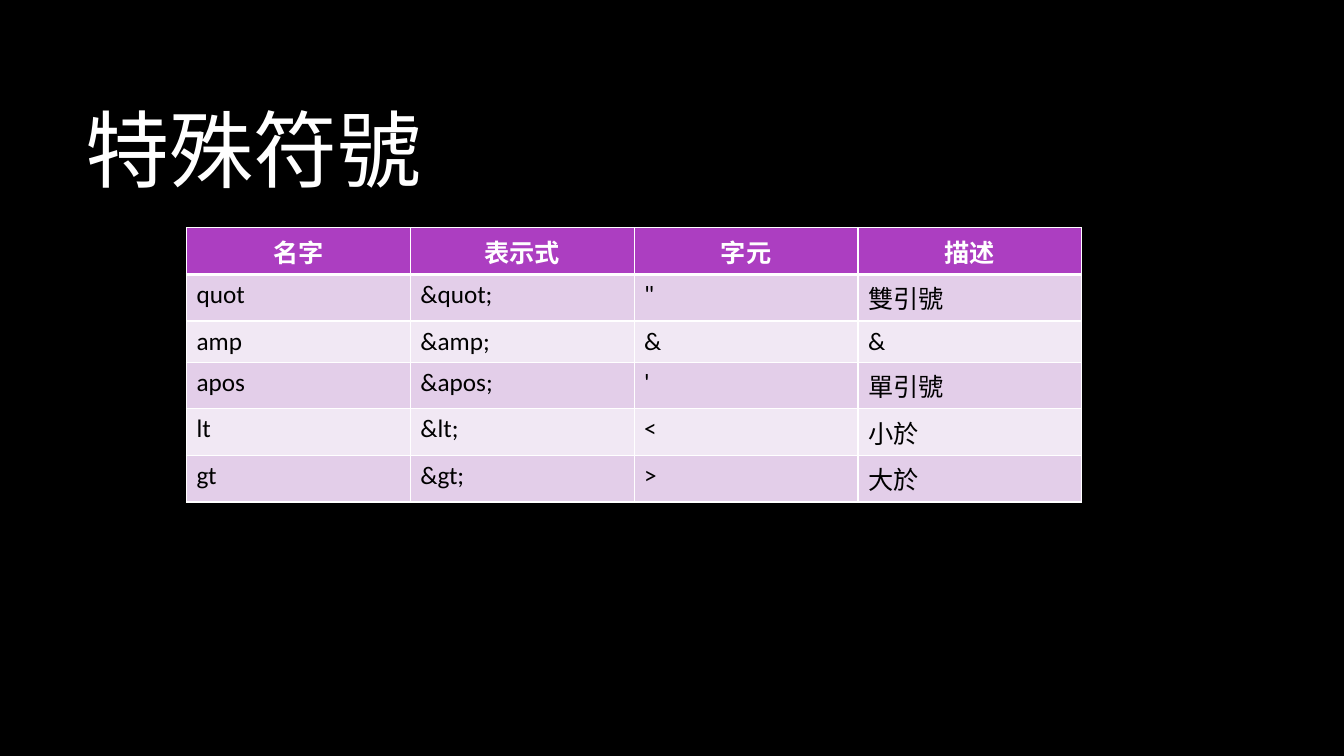
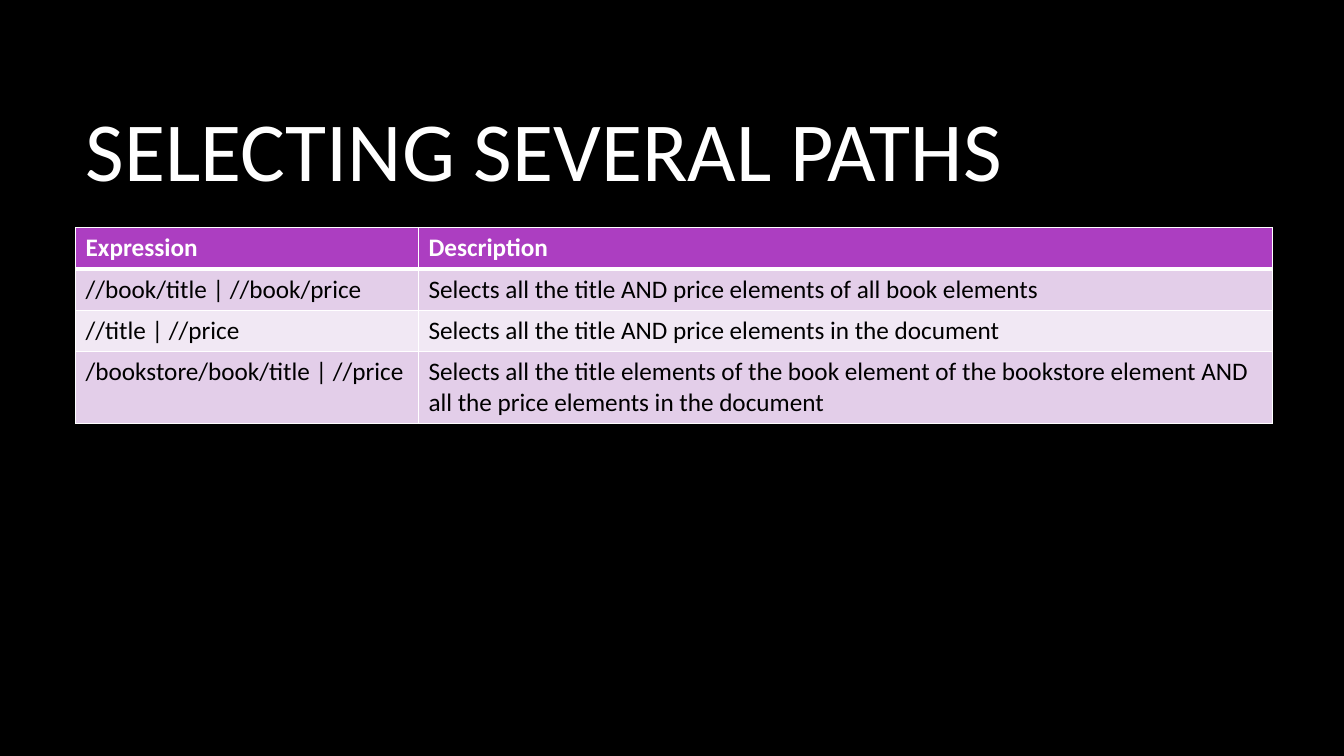
from lxml.etree import SubElement
from pptx import Presentation
from pptx.dml.color import RGBColor
from pptx.enum.text import MSO_ANCHOR as Anchor, PP_ALIGN as Align
from pptx.oxml.ns import qn
from pptx.util import Pt

PX = 9144
FONT = "Calibri"
BLACK = RGBColor(0x00, 0x00, 0x00)
WHITE = RGBColor(0xFF, 0xFF, 0xFF)
PURPLE = RGBColor(0xAC, 0x3E, 0xC1)
BANDS = (RGBColor(0xE3, 0xCE, 0xE9), RGBColor(0xF1, 0xE8, 0xF4))
TITLE_ONLY = 5
TABLE_TOP = 226
ROW_HEIGHT = 41
THIN, THICK = 1, 3

SYMBOLS = [
    ("名字", "表示式", "字元", "描述"),
    ("quot", "&quot;", '"', "雙引號"),
    ("amp", "&amp;", "&", "&"),
    ("apos", "&apos;", "'", "單引號"),
    ("lt", "&lt;", "<", "小於"),
    ("gt", "&gt;", ">", "大於"),
]
PATHS = [
    ("Expression", "Description"),
    ("//book/title | //book/price",
     "Selects all the title AND price elements of all book elements"),
    ("//title | //price",
     "Selects all the title AND price elements in the document"),
    ("/bookstore/book/title | //price",
     "Selects all the title elements of the book element of the bookstore "
     "element AND all the price elements in the document"),
]


def px(*lengths):
    return [length * PX for length in lengths]


def style_font(font, size, color, bold=False):
    font.name = FONT
    font.size = Pt(size)
    font.bold = bold
    font.color.rgb = color


def add_page(deck, heading):
    page = deck.slides.add_slide(deck.slide_layouts[TITLE_ONLY])
    title = page.shapes.title
    title.left, title.top, title.width, title.height = px(75, 67, 1108, 159)
    title.text_frame.text = heading
    title.text_frame.vertical_anchor = Anchor.MIDDLE
    para = title.text_frame.paragraphs[0]
    para.alignment = Align.LEFT
    style_font(para.font, 60, WHITE)
    return page


def add_borders(cell, top, bottom):
    properties = cell._tc.get_or_add_tcPr()
    widths = {"a:lnL": THIN, "a:lnR": THIN, "a:lnT": top, "a:lnB": bottom}
    for tag, width in widths.items():
        line = SubElement(properties, qn(tag), w=str(Pt(width)))
        fill = SubElement(line, qn("a:solidFill"))
        SubElement(fill, qn("a:srgbClr"), val=str(WHITE))


def fill_cell(cell, text, row, header_align):
    is_header = row == 0
    add_borders(cell, THICK if row == 1 else THIN, THICK if is_header else THIN)
    cell.fill.solid()
    cell.fill.fore_color.rgb = PURPLE if is_header else BANDS[(row - 1) % 2]
    cell.text = text
    para = cell.text_frame.paragraphs[0]
    para.alignment = header_align if is_header else Align.LEFT
    style_font(para.font, 18, WHITE if is_header else BLACK, is_header)


def add_grid(page, rows, left, widths, header_align=Align.LEFT):
    frame = page.shapes.add_table(
        len(rows), len(widths),
        *px(left, TABLE_TOP, sum(widths), ROW_HEIGHT * len(rows)))
    table = frame.table
    for column, width in zip(table.columns, px(*widths)):
        column.width = width
    for row, texts in enumerate(rows):
        for column, text in enumerate(texts):
            fill_cell(table.cell(row, column), text, row, header_align)


def main():
    deck = Presentation()
    deck.slide_width, deck.slide_height = px(1333, 750)
    background = deck.slide_master.background.fill
    background.solid()
    background.fore_color.rgb = BLACK

    add_grid(add_page(deck, "特殊符號"), SYMBOLS, 185, [222] * 4, Align.CENTER)
    add_grid(add_page(deck, "SELECTING SEVERAL PATHS"), PATHS, 75, [340, 847])

    deck.save("out.pptx")


if __name__ == "__main__":
    main()
